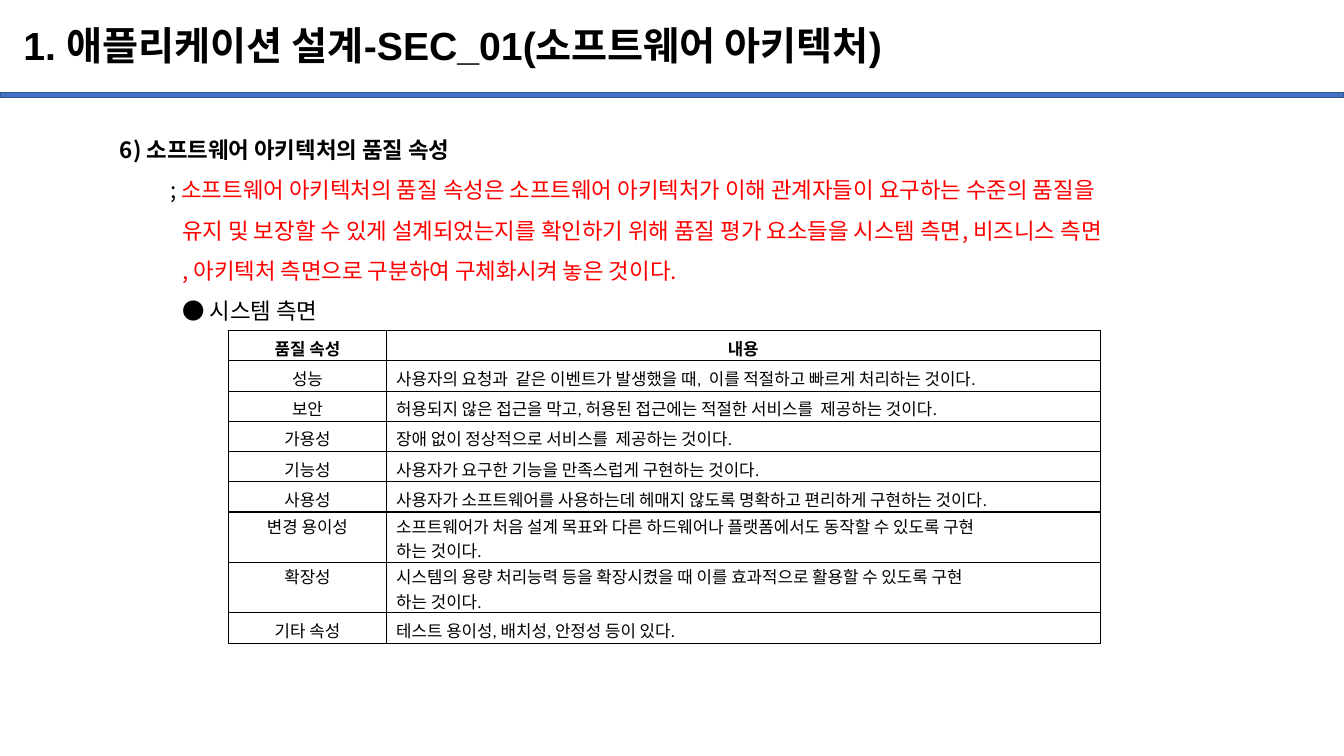
from pptx import Presentation
from pptx.dml.color import RGBColor
from pptx.enum.shapes import MSO_SHAPE as Shape
from pptx.enum.text import MSO_ANCHOR as Anchor, MSO_AUTO_SIZE as AutoSize, PP_ALIGN as Align
from pptx.oxml import parse_xml
from pptx.oxml.ns import nsdecls, qn
from pptx.util import Inches, Pt

KOREAN = "Noto Sans CJK KR"
BLACK, RED, WHITE = "000000", "FF0000", "FFFFFF"
BLUE, DARK_BLUE = "4472C4", "325491"

TITLE = "1. 애플리케이션 설계-SEC_01(소프트웨어 아키텍처)"

# Each line: indent in columns, bold, then (text, colour) spans
BODY = [
    (0, True, [("6) 소프트웨어 아키텍처의 품질 속성", BLACK)]),
    (3.75, False, [("; ", BLACK),
                   ("소프트웨어 아키텍처의 품질 속성은 소프트웨어 아키텍처가 이해 관계자들이 요구하는 수준의 품질을", RED)]),
    (4.65, False, [("유지 및 보장할 수 있게 설계되었는지를 확인하기 위해 품질 평가 요소들을 시스템 측면, 비즈니스 측면", RED)]),
    (4.65, False, [(", 아키텍처 측면으로 구분하여 구체화시켜 놓은 것이다.", RED)]),
    (4.65, False, [("● 시스템 측면", BLACK)]),
]

QUALITIES = [
    ("품질 속성", "내용"),
    ("성능", "사용자의 요청과  같은 이벤트가 발생했을 때,  이를 적절하고 빠르게 처리하는 것이다."),
    ("보안", "허용되지 않은 접근을 막고, 허용된 접근에는 적절한 서비스를  제공하는 것이다."),
    ("가용성", "장애 없이 정상적으로 서비스를  제공하는 것이다."),
    ("기능성", "사용자가 요구한 기능을 만족스럽게 구현하는 것이다."),
    ("사용성", "사용자가 소프트웨어를 사용하는데 헤매지 않도록 명확하고 편리하게 구현하는 것이다."),
    ("변경 용이성", "소프트웨어가 처음 설계 목표와 다른 하드웨어나 플랫폼에서도 동작할 수 있도록 구현\n하는 것이다."),
    ("확장성", "시스템의 용량 처리능력 등을 확장시켰을 때 이를 효과적으로 활용할 수 있도록 구현\n하는 것이다."),
    ("기타 속성", "테스트 용이성, 배치성, 안정성 등이 있다."),
]


def color(value):
    return RGBColor.from_string(value)


class SlideBuilder:
    """Draws on one slide with a grid of 100 columns by 100 rows."""

    def __init__(self, deck):
        self.column = deck.slide_width / 100
        self.row = deck.slide_height / 100
        self.slide = deck.slides.add_slide(deck.slide_layouts[5])

    def across(self, columns):
        return round(columns * self.column)

    def down(self, rows):
        return round(rows * self.row)

    def area(self, left, top, width, height):
        return self.across(left), self.down(top), self.across(width), self.down(height)

    def style(self, span, size, bold=False, fill=BLACK, latin=KOREAN):
        """Formats a run, with its Latin and Korean typefaces."""
        font = span.font
        font.size, font.bold, font.name = Pt(size), bold, latin
        font.color.rgb = color(fill)
        span._r.get_or_add_rPr().find(qn("a:latin")).addnext(
            parse_xml(f'<a:ea {nsdecls("a")} typeface="{KOREAN}"/>'))

    def title(self, text, *place):
        box = self.slide.shapes.title
        box.left, box.top, box.width, box.height = self.area(*place)
        frame = box.text_frame
        frame.text = text
        frame.vertical_anchor = Anchor.MIDDLE
        frame.auto_size = AutoSize.NONE
        para = frame.paragraphs[0]
        para.alignment, para.line_spacing = Align.LEFT, 0.9
        self.style(para.runs[0], 28, bold=True, latin="Arial")

    def bar(self, *place):
        bar = self.slide.shapes.add_shape(Shape.RECTANGLE, *self.area(*place))
        bar.shadow.inherit = False
        bar.fill.solid()
        bar.fill.fore_color.rgb = color(BLUE)
        bar.line.color.rgb = color(DARK_BLUE)
        bar.line.width = Pt(1)

    def body(self, lines, *place):
        frame = self.slide.shapes.add_textbox(*self.area(*place)).text_frame
        frame.word_wrap = True
        frame.auto_size = AutoSize.SHAPE_TO_FIT_TEXT
        for index, (indent, bold, spans) in enumerate(lines):
            para = frame.add_paragraph() if index else frame.paragraphs[0]
            para.line_spacing = 1.5
            para._p.get_or_add_pPr().set("marL", str(self.across(indent)))
            for text, fill in spans:
                span = para.add_run()
                span.text = text
                self.style(span, 16, bold, fill)

    def border(self, cell):
        properties = cell._tc.get_or_add_tcPr()
        for side in "LRTB":
            properties.append(parse_xml(
                f'<a:ln{side} {nsdecls("a")} w="{Pt(1)}"><a:solidFill>'
                f'<a:srgbClr val="{BLACK}"/></a:solidFill></a:ln{side}>'))

    def cell(self, cell, text, centered, bold, latin, top_margin):
        self.border(cell)
        cell.fill.solid()
        cell.fill.fore_color.rgb = color(WHITE)
        cell.margin_top, cell.margin_bottom = Inches(top_margin), 0
        cell.text_frame.text = text
        for para in cell.text_frame.paragraphs:
            para.alignment = Align.CENTER if centered else Align.LEFT
            self.style(para.runs[0], 12, bold, latin=latin)

    def table(self, records, left, top, widths):
        heights = [6.67 if "\n" in content else 4 for _, content in records]
        table = self.slide.shapes.add_table(
            len(records), len(widths),
            *self.area(left, top, sum(widths), sum(heights))).table
        table.first_row = table.horz_banding = False
        for column, width in zip(table.columns, widths):
            column.width = self.across(width)
        for number, (record, height) in enumerate(zip(records, heights)):
            table.rows[number].height = self.down(height)
            header = number == 0
            top_margin = 0.02 if height > 4 else 0.05
            for place, text in enumerate(record):
                label = header or place == 0
                self.cell(table.cell(number, place), text, label, header,
                          KOREAN if label else "Calibri", top_margin)


def main():
    deck = Presentation()
    deck.slide_width, deck.slide_height = Inches(13.33), Inches(7.5)
    page = SlideBuilder(deck)
    page.bar(0, 12.27, 100, 0.67)
    page.title(TITLE, 0.98, 1.33, 86.27, 9.87)
    page.body(BODY, 8.18, 15.6, 87.92, 28.27)
    page.table(QUALITIES, 17.03, 43.73, [11.7, 53.15])
    deck.save("out.pptx")


if __name__ == "__main__":
    main()
